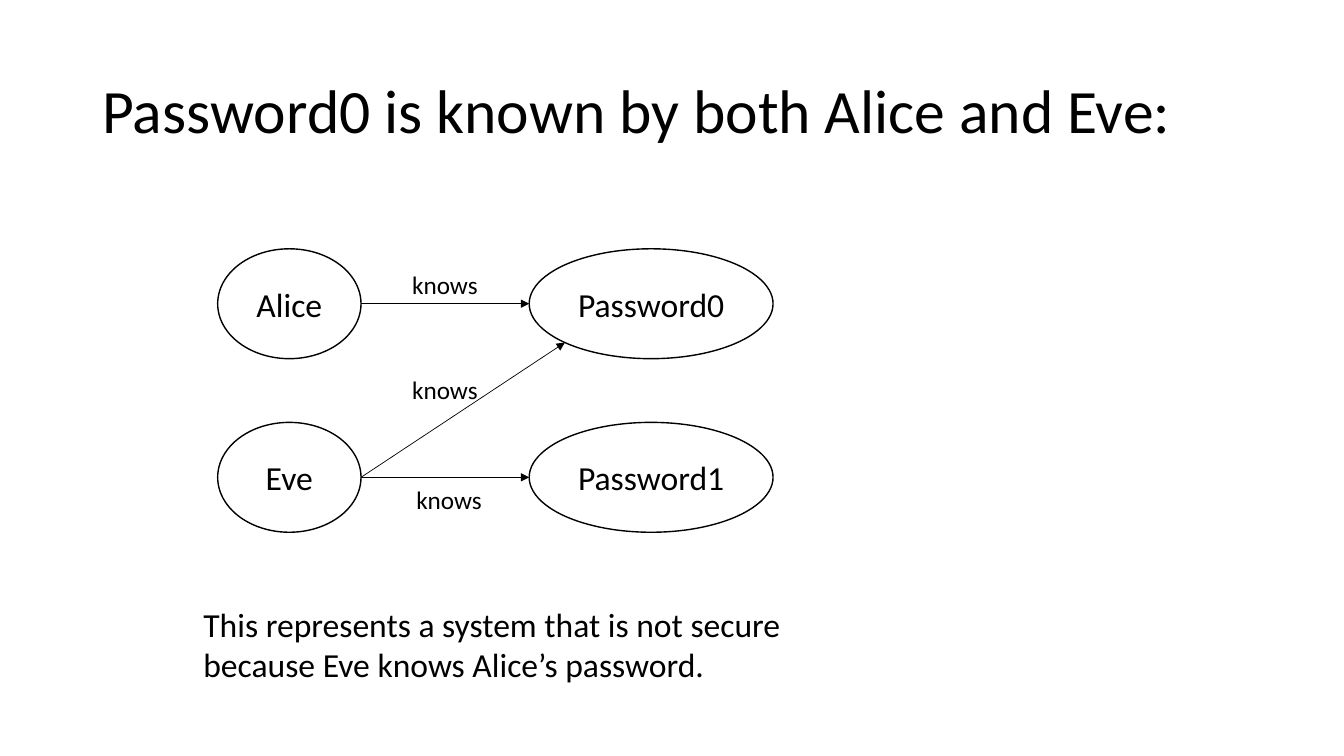
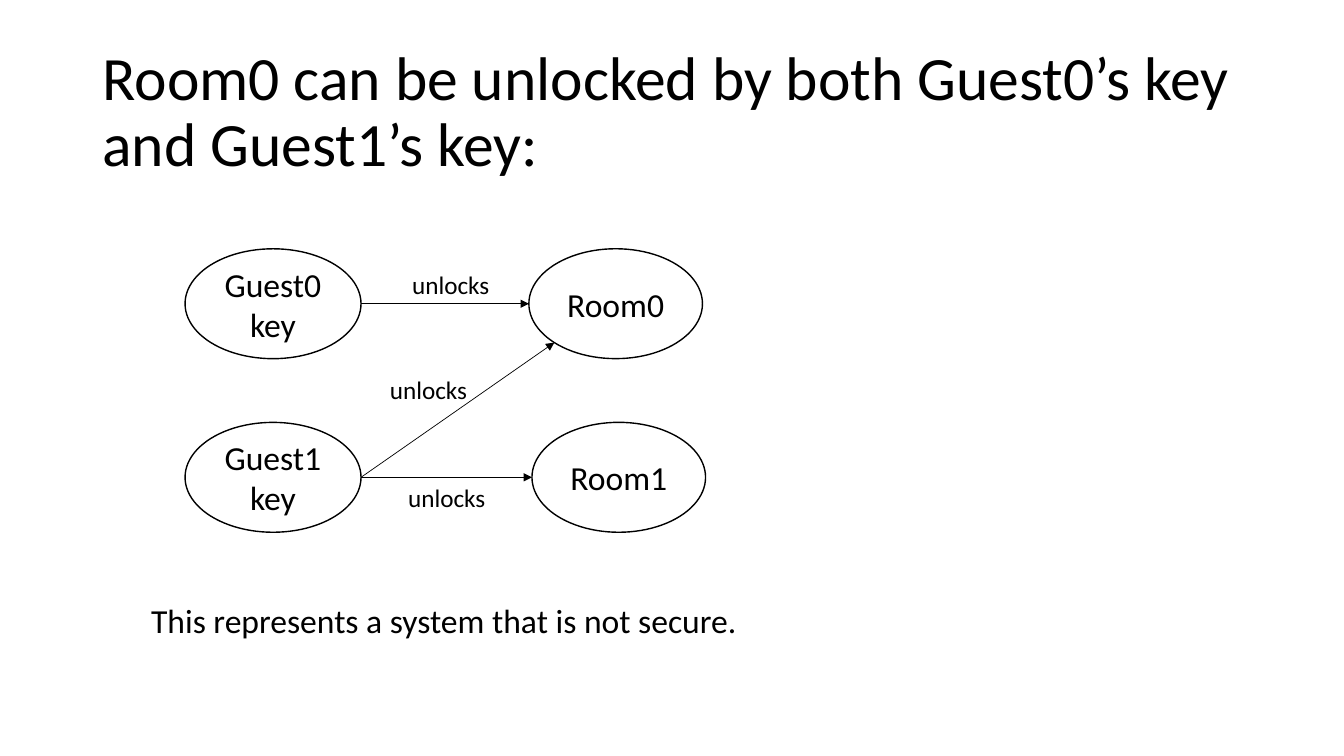
from math import cos, pi, sin

from lxml.etree import SubElement
from pptx import Presentation
from pptx.dml.color import RGBColor
from pptx.enum.shapes import MSO_CONNECTOR, MSO_SHAPE
from pptx.enum.text import MSO_ANCHOR, MSO_AUTO_SIZE, PP_ALIGN
from pptx.oxml.ns import qn
from pptx.util import Pt

FONT = "Calibri"
INK, PAPER = "000000", "FFFFFF"
TITLE_BOX = (66, 28.8, 828, 104.4)
NODE_HEIGHT, LABEL_HEIGHT = 78.5, 28.8

# Ellipse connection sites run anticlockwise from the top in steps of 45 degrees
LOWER_LEFT, LEFT, RIGHT = 3, 2, 6

# Arrows: source row, target row, site on the target
LINKS = [(0, 0, LEFT), (1, 0, LOWER_LEFT), (1, 1, LEFT)]

# Diagram boxes span all four ellipses; label spots count from the sources' right edge
SLIDES = [
    dict(
        title="Password0 is known by both Alice and Eve:",
        box=(155.5, 177.7, 396.7, 202.5),
        sources=["Alice", "Eve"], source_width=102.4,
        targets=["Password0", "Password1"], target_width=174.2, target_shifts=[0, 0],
        verb="knows", label_width=61.9,
        label_spots=[(29.4, 10.9), (29.4, 85.8), (32.4, 164.4)],
        note="This represents a system that is not secure because Eve knows Alice’s password.",
        note_box=(138.2, 427.7, 480.2, 65.5), note_wrap=True,
    ),
    dict(
        title="Room0 can be unlocked by both Guest0’s key and Guest1’s key:",
        box=(132.2, 177.7, 371.8, 202.5),
        sources=["Guest0\nkey", "Guest1\nkey"], source_width=125.7,
        targets=["Room0", "Room1"], target_width=124, target_shifts=[-2.2, 0],
        verb="unlocks", label_width=70.6,
        label_spots=[(29.4, 10.9), (13.5, 85.8), (26.5, 163)],
        note="This represents a system that is not secure.",
        note_box=(100.8, 424.8, 442, 36), note_wrap=False,
    ),
]


def color(hex_code):
    return RGBColor.from_string(hex_code)


def apply(target, values):
    for name, value in values.items():
        setattr(target, name, value)


def write(shape, text, size, frame_format, paragraph_format):
    frame = shape.text_frame
    frame.text = text
    apply(frame, frame_format)
    for paragraph in frame.paragraphs:
        apply(paragraph, paragraph_format)
        apply(paragraph.font, dict(name=FONT, size=Pt(size)))
        paragraph.font.color.rgb = color(INK)


def add_title(slide, text):
    title = slide.shapes.title
    apply(title, dict(zip(("left", "top", "width", "height"), map(Pt, TITLE_BOX))))
    write(title, text, 44,
          dict(vertical_anchor=MSO_ANCHOR.MIDDLE, word_wrap=True,
               auto_size=MSO_AUTO_SIZE.NONE),
          dict(alignment=PP_ALIGN.LEFT, line_spacing=0.9))


def add_text(slide, box, text, size, wrap):
    text_box = slide.shapes.add_textbox(*map(Pt, box))
    write(text_box, text, size,
          dict(word_wrap=wrap, auto_size=MSO_AUTO_SIZE.SHAPE_TO_FIT_TEXT),
          dict(alignment=PP_ALIGN.LEFT))


def add_node(slide, left, top, width, text):
    node = slide.shapes.add_shape(
        MSO_SHAPE.OVAL, *map(Pt, (left, top, width, NODE_HEIGHT)))
    node.shadow.inherit = False
    node.fill.solid()
    node.fill.fore_color.rgb = color(PAPER)
    node.line.color.rgb = color(INK)
    node.line.width = Pt(1)
    write(node, text, 24,
          dict(vertical_anchor=MSO_ANCHOR.MIDDLE, word_wrap=True),
          dict(alignment=PP_ALIGN.CENTER))
    return node


def site_point(node, site):
    angle = site * pi / 4
    return (round(node.left + node.width / 2 * (1 - sin(angle))),
            round(node.top + node.height / 2 * (1 - cos(angle))))


def add_arrow(slide, source, target, target_site):
    arrow = slide.shapes.add_connector(
        MSO_CONNECTOR.STRAIGHT,
        *site_point(source, RIGHT), *site_point(target, target_site))
    arrow.line.color.rgb = color(INK)
    arrow.line.width = Pt(0.5)
    properties = arrow._element.spPr
    SubElement(properties.find(qn("a:ln")), qn("a:tailEnd"), type="triangle")
    SubElement(properties, qn("a:effectLst"))
    # Join both ends to ellipse sites, which go beyond begin_connect's four
    joints = arrow._element.nvCxnSpPr.cNvCxnSpPr
    for tag, node, site in (("a:stCxn", source, RIGHT), ("a:endCxn", target, target_site)):
        SubElement(joints, qn(tag), id=str(node.shape_id), idx=str(site))


def add_diagram(slide, content):
    left, top, width, height = content["box"]
    rows = [top, top + height - NODE_HEIGHT]
    target_left = left + width - content["target_width"]

    # Two columns of ellipses
    sources = [add_node(slide, left, row, content["source_width"], text)
               for row, text in zip(rows, content["sources"])]
    targets = [add_node(slide, target_left + shift, row, content["target_width"], text)
               for row, shift, text in zip(rows, content["target_shifts"], content["targets"])]

    # Arrows with their labels
    label_origin = left + content["source_width"]
    for (source, target, site), (dx, dy) in zip(LINKS, content["label_spots"]):
        add_arrow(slide, sources[source], targets[target], site)
        label_box = (label_origin + dx, top + dy, content["label_width"], LABEL_HEIGHT)
        add_text(slide, label_box, content["verb"], 18, False)


def add_relation_slide(presentation, content):
    slide = presentation.slides.add_slide(presentation.slide_layouts[5])
    add_title(slide, content["title"])
    add_diagram(slide, content)
    add_text(slide, content["note_box"], content["note"], 24, content["note_wrap"])


def main():
    presentation = Presentation()
    apply(presentation, dict(slide_width=Pt(960), slide_height=Pt(540)))
    for content in SLIDES:
        add_relation_slide(presentation, content)
    presentation.save("out.pptx")


if __name__ == "__main__":
    main()
